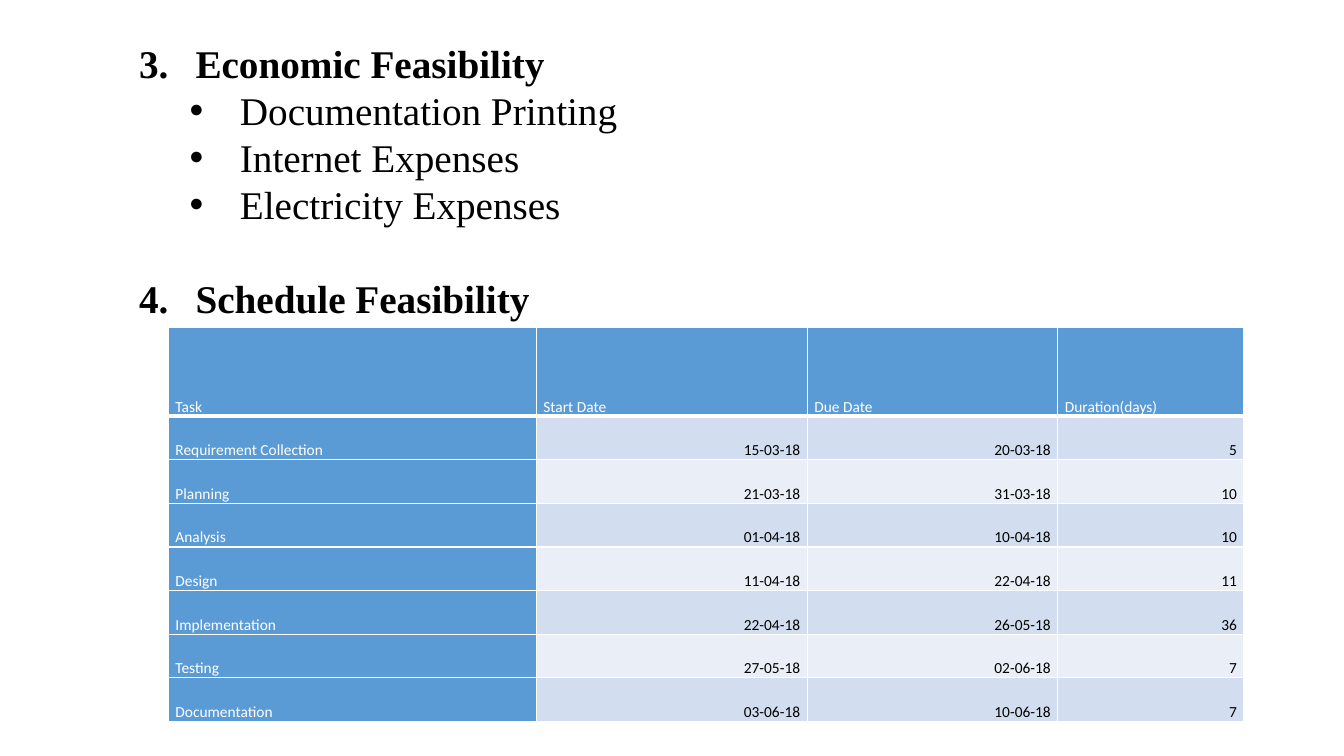
"""Build the feasibility slide: a numbered list above a project schedule table."""
from dataclasses import dataclass

from lxml import etree
from pptx import Presentation, util as u
from pptx.dml.color import RGBColor
from pptx.enum import text
from pptx.oxml import ns

WHITE, BLACK, BLUE = "FFFFFF", "000000", "5B9BD5"
BANDS = ("D2DEEF", "EAEFF7")
LIST_SIZE = 28
LINE = u.Pt(1.2 * LIST_SIZE)


@dataclass(frozen=True)
class Box:
    """Place and size in percent of the slide."""
    left: float
    top: float
    width: float
    height: float

    def lengths(self) -> list[int]:
        """Convert the percentages to slide lengths."""
        sides = (prs.slide_width, prs.slide_height) * 2
        shares = (self.left, self.top, self.width, self.height)
        return [int(side * share / 100) for side, share in zip(sides, shares)]


@dataclass(frozen=True)
class ListStyle:
    """Look of one list level."""
    margin: float
    hanging: float
    bold: bool
    bullet: str
    bullet_font: str
    bullet_attrs: dict[str, str]


STYLES = (
    ListStyle(0.56, 0.56, True, "a:buAutoNum", "Times New Roman",
              {"type": "arabicPeriod", "startAt": "3"}),
    ListStyle(1, 0.5, False, "a:buChar", "Arial", {"char": "•"}),
)


@dataclass(frozen=True)
class Item:
    """One list paragraph and the blank lines before it."""
    label: str
    level: int = 1
    gap: int = 0


ITEMS = (
    Item("Economic Feasibility", 0),
    Item("Documentation Printing"),
    Item("Internet Expenses"),
    Item("Electricity Expenses"),
    Item("Schedule Feasibility", 0, 1),
)
SCHEDULE = (
    ("Task", "Start Date", "Due Date", "Duration(days)"),
    ("Requirement Collection", "15-03-18", "20-03-18", "5"),
    ("Planning", "21-03-18", "31-03-18", "10"),
    ("Analysis", "01-04-18", "10-04-18", "10"),
    ("Design", "11-04-18", "22-04-18", "11"),
    ("Implementation", "22-04-18", "26-05-18", "36"),
    ("Testing", "27-05-18", "02-06-18", "7"),
    ("Documentation", "03-06-18", "10-06-18", "7"),
)
LIST_BOX = Box(9.6, 4.53, 85.8, 57.87)
TABLE_BOX = Box(12.53, 43.33, 80.03, 52.13)
COLUMN_SHARES = (0.342, 0.252, 0.233, 0.173)
HEADER_SHARE = 0.225


def rgb(color: str) -> RGBColor:
    """Turn a hex string into a colour."""
    return RGBColor.from_string(color)


def add_xml(parent, tag: str, **attrs: str):
    """Append a child element with attributes."""
    return etree.SubElement(parent, ns.qn(tag), attrs)


def style_runs(p, font: str, size: float, color: str, bold: bool = False) -> None:
    """Format every run of a paragraph."""
    for r in p.runs:
        r.font.name, r.font.size, r.font.bold = font, u.Pt(size), bold
        r.font.color.rgb = rgb(color)


def write_item(p, item: Item) -> None:
    """Write one list item in the style of its level."""
    style = STYLES[item.level]
    p.text, p.level = item.label, item.level
    p.line_spacing, p.space_before = LINE, LINE * item.gap
    p.space_after = u.Pt(0)
    style_runs(p, "Times New Roman", LIST_SIZE, BLACK, style.bold)
    pPr = p._p.get_or_add_pPr()
    pPr.set("marL", str(u.Inches(style.margin)))
    pPr.set("indent", str(-u.Inches(style.hanging)))
    add_xml(pPr, "a:buFont", typeface=style.bullet_font)
    add_xml(pPr, style.bullet, **style.bullet_attrs)


def style_cell(cell, row: int, col: int) -> None:
    """Format a cell by its place in the table."""
    heading = row == 0 or col == 0
    cell.vertical_anchor = text.MSO_ANCHOR.BOTTOM
    cell.margin_left = cell.margin_right = u.Inches(0.07)
    cell.margin_top = cell.margin_bottom = 0
    p = cell.text_frame.paragraphs[0]
    p.line_spacing = 1.07
    p.alignment = text.PP_ALIGN.LEFT if heading else text.PP_ALIGN.RIGHT
    style_runs(p, "Calibri", 11, WHITE if heading else BLACK)
    tcPr = cell._tc.get_or_add_tcPr()
    for side in "LRTB":
        width = 3 if row == 0 and side == "B" else 1
        ln = add_xml(tcPr, f"a:ln{side}", w=str(u.Pt(width)))
        add_xml(add_xml(ln, "a:solidFill"), "a:srgbClr", val=WHITE)
    cell.fill.solid()
    cell.fill.fore_color.rgb = rgb(BLUE if heading else BANDS[(row - 1) % 2])


def add_list(s) -> None:
    """Fill the body placeholder with the list."""
    sp = s.placeholders[1]
    sp.left, sp.top, sp.width, sp.height = LIST_BOX.lengths()
    tf = sp.text_frame
    tf.auto_size, tf.word_wrap = text.MSO_AUTO_SIZE.NONE, True
    for i, item in enumerate(ITEMS):
        write_item(tf.add_paragraph() if i else tf.paragraphs[0], item)


def add_schedule(s) -> None:
    """Add the schedule table."""
    box = TABLE_BOX.lengths()
    table = s.shapes.add_table(len(SCHEDULE), len(COLUMN_SHARES), *box).table
    for column, share in zip(table.columns, COLUMN_SHARES):
        column.width = int(box[2] * share)
    body_share = (1 - HEADER_SHARE) / (len(SCHEDULE) - 1)
    for i, values in enumerate(SCHEDULE):
        table.rows[i].height = int(box[3] * (body_share if i else HEADER_SHARE))
        for j, value in enumerate(values):
            cell = table.cell(i, j)
            cell.text = value
            style_cell(cell, i, j)


prs = Presentation()
prs.slide_width, prs.slide_height = u.Inches(13.33), u.Inches(7.5)
s = prs.slides.add_slide(prs.slide_layouts[1])
title = s.shapes.title.element
title.getparent().remove(title)
add_list(s)
add_schedule(s)
prs.save("out.pptx")
